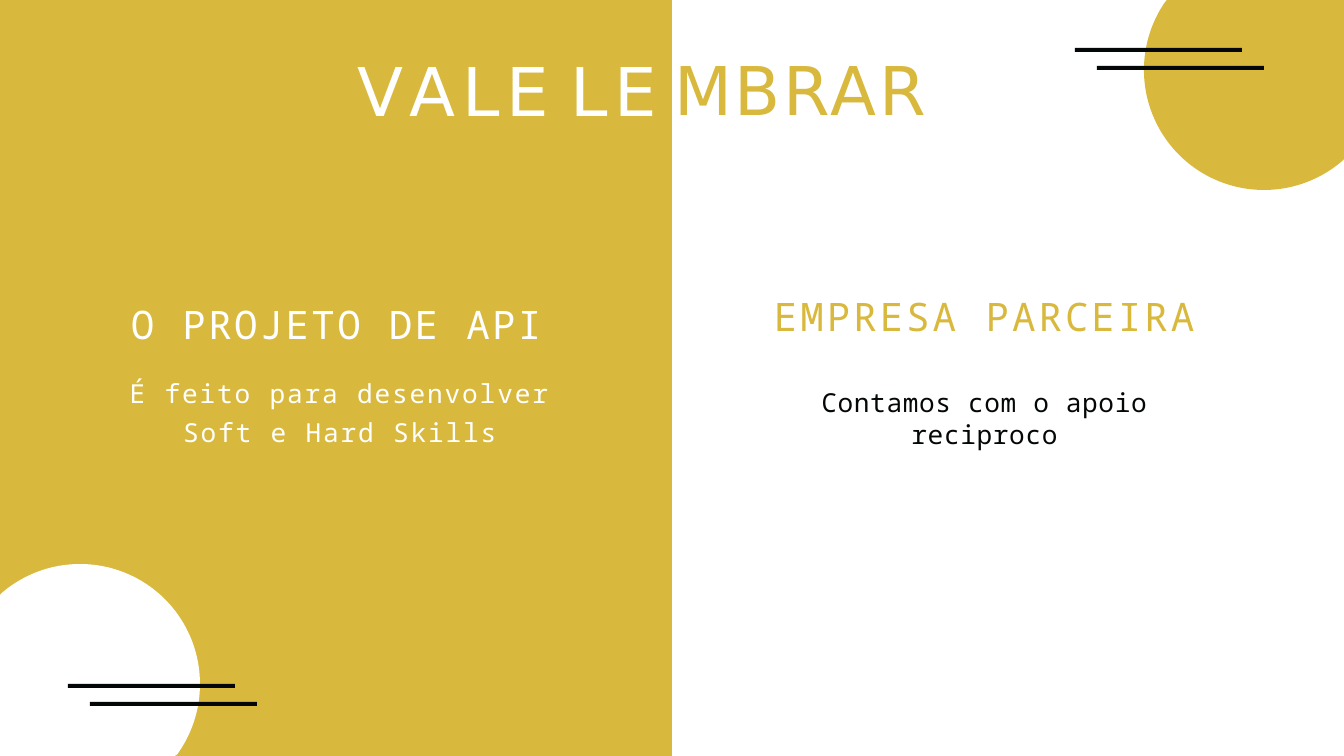
from dataclasses import dataclass
from math import cos, radians, sin
from typing import Optional

from lxml import etree
from pptx import Presentation
from pptx.dml.color import RGBColor
from pptx.enum.shapes import MSO_SHAPE
from pptx.enum.text import MSO_ANCHOR, MSO_AUTO_SIZE, PP_ALIGN
from pptx.oxml.ns import qn
from pptx.util import Emu, Inches, Pt

LEFT, CENTER = PP_ALIGN.LEFT, PP_ALIGN.CENTER
TOP = MSO_ANCHOR.TOP
GROW = MSO_AUTO_SIZE.SHAPE_TO_FIT_TEXT
RECTANGLE = MSO_SHAPE.RECTANGLE

WIDTH, HEIGHT = 1344, 756
EMU_PER_PX = Inches(20) / WIDTH
TWO_CONTENT = 3


@dataclass(frozen=True)
class Theme:
    gold: RGBColor = RGBColor(0xD9, 0xB9, 0x3D)
    white: RGBColor = RGBColor(0xFF, 0xFF, 0xFF)
    ink: RGBColor = RGBColor(0x04, 0x07, 0x07)
    title_font: str = "DejaVu Sans"
    body_font: str = "Noto Sans Mono"
    title_size: int = 72
    heading_size: int = 42
    text_size: int = 28


THEME = Theme()


@dataclass(frozen=True)
class Box:
    left: int
    top: int
    width: int
    height: int


@dataclass(frozen=True)
class Line:
    text: str
    size: int
    color: RGBColor
    tracking: float
    font: str = THEME.body_font
    align: PP_ALIGN = CENTER
    before: float = 1
    spacing: Optional[float] = None
    margin: int = 0


@dataclass(frozen=True)
class Corner:
    center: tuple[int, int]
    color: RGBColor
    bars_at: tuple[int, int]


# Corner decorations
RADIUS = 120
BAR_WIDTH, BAR_HEIGHT = 167, 4
BAR_SHIFT = (22, 18)
CORNERS = (
    Corner((1264, 70), THEME.gold, (1075, 48)),
    Corner((80, 684), THEME.white, (68, 684)),
)

# Text
PROJECT = (
    Line("O PROJETO DE API", THEME.heading_size, THEME.white, 2.5),
    Line("É feito para desenvolver Soft e Hard Skills", THEME.text_size,
         THEME.white, 2, before=23.4, spacing=1.26, margin=7),
)
PARTNER = (
    Line("EMPRESA PARCEIRA", THEME.heading_size, THEME.gold, 3.2),
    Line("Contamos com o apoio reciproco", THEME.text_size, THEME.ink, 0.7,
         before=51),
)
TITLE_START = Line("V A L E  L E", THEME.title_size, THEME.white, -7.8,
                   THEME.title_font, LEFT, margin=1)
TITLE_END = Line("MBRAR", THEME.title_size, THEME.gold, 3.2,
                 THEME.title_font, LEFT, before=0)


def px(value: float) -> Emu:
    return Emu(round(value * EMU_PER_PX))


def paint(shape, color: RGBColor) -> None:
    shape.fill.solid()
    shape.fill.fore_color.rgb = color
    shape.line.fill.background()
    shape.shadow.inherit = False


def draw_outline(shapes, contours: list, color: RGBColor) -> None:
    """Draw closed contours, given in px, as one filled shape."""
    scaled = [[(px(x), px(y)) for x, y in points] for points in contours]
    builder = shapes.build_freeform(*scaled[0][0], scale=1.0)
    for index, (start, *rest) in enumerate(scaled):
        if index:
            builder.move_to(*start)
        builder.add_line_segments(rest, close=True)
    paint(builder.convert_to_shape(), color)


def clipped_circle(center: tuple[int, int]) -> list:
    """Circle points held within the slide edges."""
    x, y = center
    angles = [radians(degree) for degree in range(0, 360, 2)]
    return [(min(max(x + RADIUS * cos(a), 0), WIDTH),
             min(max(y + RADIUS * sin(a), 0), HEIGHT)) for a in angles]


def bar(left: int, top: int) -> list:
    right, bottom = left + BAR_WIDTH, top + BAR_HEIGHT
    return [(left, top), (right, top), (right, bottom), (left, bottom)]


def draw_corner(slide, corner: Corner) -> None:
    shapes = slide.shapes.add_group_shape().shapes
    draw_outline(shapes, [clipped_circle(corner.center)], corner.color)
    left, top = corner.bars_at
    bars = [bar(left + BAR_SHIFT[0] * row, top + BAR_SHIFT[1] * row)
            for row in range(2)]
    draw_outline(shapes, bars, THEME.ink)


def write_line(paragraph, line: Line) -> None:
    paragraph.alignment = line.align
    paragraph.space_before = Pt(line.before)
    if line.spacing:
        paragraph.line_spacing = line.spacing
    properties = paragraph._p.get_or_add_pPr()
    properties.set("marL", str(px(line.margin)))
    properties.set("indent", "0")
    etree.SubElement(properties, qn("a:buNone"))
    run = paragraph.add_run()
    run.text = line.text
    run.font.name = line.font
    run.font.size = Pt(line.size)
    run.font.color.rgb = line.color
    run._r.get_or_add_rPr().set("spc", str(round(line.tracking * 100)))


def fill_text(shape, box: Box, lines: tuple[Line, ...],
              inset: tuple[int, int] = (0, 1)) -> None:
    shape.left, shape.top = px(box.left), px(box.top)
    shape.width, shape.height = px(box.width), px(box.height)
    frame = shape.text_frame
    frame.word_wrap = True
    frame.auto_size = GROW
    frame.vertical_anchor = TOP
    frame.margin_left = frame.margin_right = px(inset[0])
    frame.margin_top = px(inset[1])
    frame.margin_bottom = px(inset[1] if inset[0] else 0)
    for index, line in enumerate(lines):
        write_line(frame.add_paragraph() if index else frame.paragraphs[0], line)
    # Bring the text in front of the decorations
    shape.element.getparent().append(shape.element)


def main() -> None:
    deck = Presentation()
    deck.slide_width, deck.slide_height = px(WIDTH), px(HEIGHT)
    slide = deck.slides.add_slide(deck.slide_layouts[TWO_CONTENT - 0])
    title, project, partner = slide.placeholders

    # Gold half and corners
    half = slide.shapes.add_shape(RECTANGLE, 0, 0, px(WIDTH // 2), px(HEIGHT))
    paint(half, THEME.gold)
    for corner in CORNERS:
        draw_corner(slide, corner)

    # Columns
    fill_text(project, Box(113, 299, 447, 148), PROJECT)
    fill_text(partner, Box(773, 291, 423, 160), PARTNER)

    # Title, split where the background changes
    fill_text(title, Box(356, 48, 515, 83), (TITLE_START,))
    title_end = slide.shapes.add_textbox(0, 0, 0, 0)
    fill_text(title_end, Box(667, 45, 333, 88), (TITLE_END,), inset=(7, 3))

    deck.save("out.pptx")


if __name__ == "__main__":
    main()
